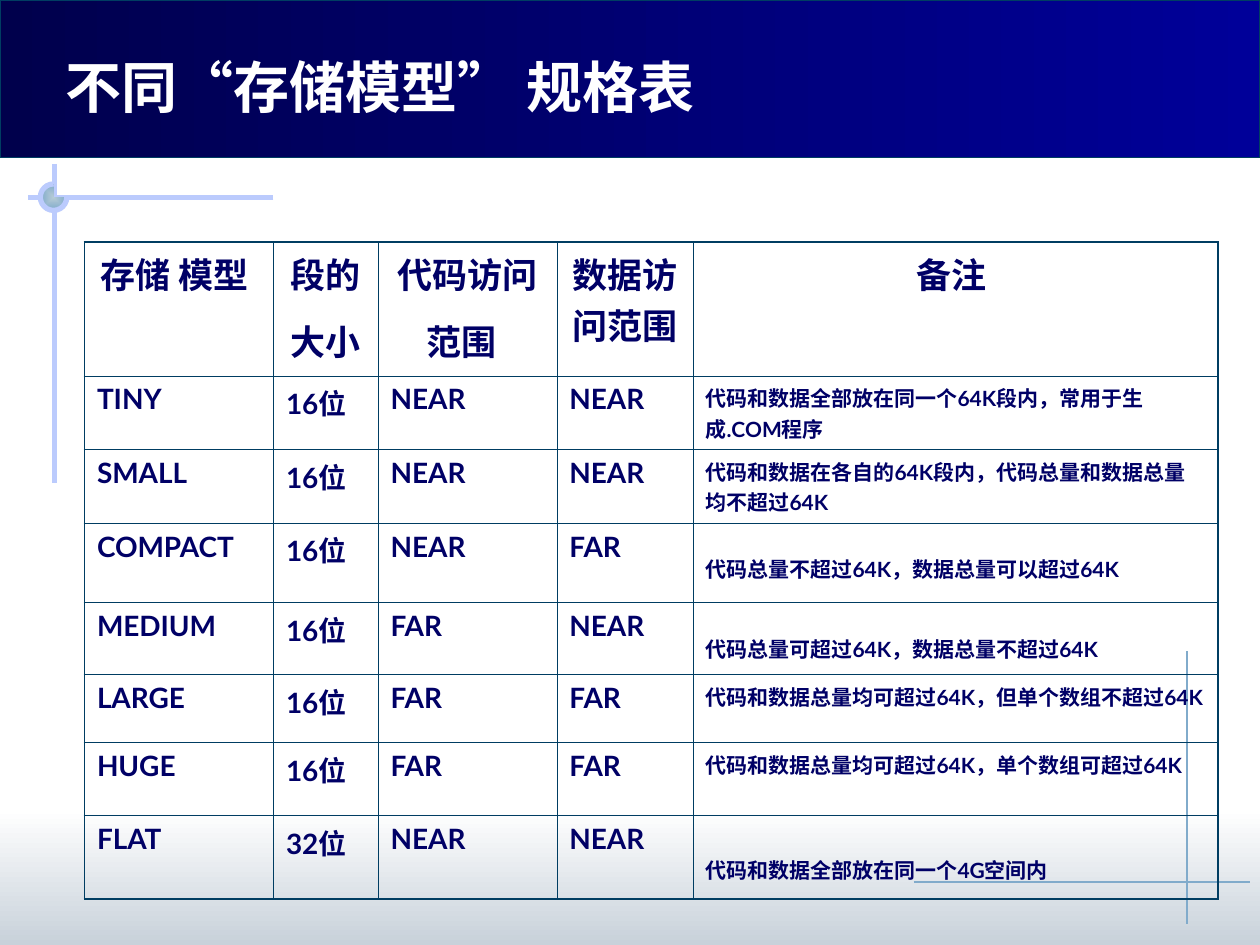
from dataclasses import dataclass
from typing import NamedTuple

from lxml import etree
from pptx import Presentation
from pptx import util as u
from pptx.dml.color import RGBColor
from pptx.enum import shapes, text
from pptx.oxml import parse_xml
from pptx.oxml.ns import qn

DRAWING = 'xmlns:a="http://schemas.openxmlformats.org/drawingml/2006/main"'


@dataclass(frozen=True)
class Theme:
    latin: str = "Lato"
    asian: str = "Noto Sans CJK JP"
    white: str = "FFFFFF"
    ink: str = "000066"
    border: str = "003D62"
    banner: tuple[str, str] = ("000099", "00004C")
    footer: tuple[str, str] = ("FFFFFF", "C8D1DA")
    node: tuple[str, str] = ("B6CBD6", "81ABCB")
    thick_line: str = "BBCBFD"
    thin_line: str = "81ABCB"
    title_size: float = 32
    header_size: float = 20
    label_size: float = 16
    note_size: float = 12
    thick: float = 3
    thin: float = 0.75
    outer_border: float = 1.08
    inner_border: float = 0.45


THEME = Theme()


class Box(NamedTuple):
    left: float
    top: float
    width: float
    height: float

    def lengths(self) -> list[u.Length]:
        return [u.Inches(value) for value in self]


class Line(NamedTuple):
    x1: float
    y1: float
    x2: float
    y2: float
    color: str
    width: float


class Entry(NamedTuple):
    """Cell text; tail_size is the size of a trailing space that opens up the line."""
    words: str
    tail_size: float = 0


class Model(NamedTuple):
    name: str
    segment: str
    code: str
    data: str
    note: Entry


LINES = [
    Line(9.42, 5.17, 9.42, 7.33, THEME.thin_line, THEME.thin),
    Line(2.17, 1.57, 0.22, 1.57, THEME.thick_line, THEME.thick),
    Line(0.43, 1.3, 0.43, 3.83, THEME.thick_line, THEME.thick),
    Line(7.25, 7, 9.92, 7, THEME.thin_line, THEME.thin),
]
HEADERS = [Entry("存储 模型 "), Entry("段的大小", 28), Entry("代码访问范围", 28),
           Entry("数据访问范围"), Entry("备注 ")]
MODELS = [
    Model("TINY", "16位", "NEAR", "NEAR",
          Entry("代码和数据全部放在同一个64K段内，常用于生成.COM程序", 9)),
    Model("SMALL", "16位", "NEAR", "NEAR",
          Entry("代码和数据在各自的64K段内，代码总量和数据总量均不超过64K")),
    Model("COMPACT", "16位", "NEAR", "FAR",
          Entry("代码总量不超过64K，数据总量可以超过64K", 28)),
    Model("MEDIUM", "16位", "FAR", "NEAR",
          Entry("代码总量可超过64K，数据总量不超过64K", 28)),
    Model("LARGE", "16位", "FAR", "FAR",
          Entry("代码和数据总量均可超过64K，但单个数组不超过64K")),
    Model("HUGE", "16位", "FAR", "FAR",
          Entry("代码和数据总量均可超过64K，单个数组可超过64K")),
    Model("FLAT", "32位", "NEAR", "NEAR",
          Entry("代码和数据全部放在同一个4G空间内", 28)),
]
COLUMN_WIDTHS = [1.5, 0.83, 1.42, 1.08, 4.17]
ROW_HEIGHTS = [0.9, 0.51, 0.5, 0.63, 0.57, 0.5, 0.58, 0.57]


def add_span(para, words: str, size: float, color: str, latin: str) -> None:
    span = para.add_run()
    span.text = words
    span.font.size = u.Pt(size)
    span.font.bold = True
    span.font.name = latin
    span.font.color.rgb = RGBColor.from_string(color)
    asian = etree.SubElement(span.font._element, qn("a:ea"))
    asian.set("typeface", THEME.asian)


def add_plain_shape(page, kind, box: Box):
    shape = page.shapes.add_shape(kind, *box.lengths())
    shape.shadow.inherit = False
    shape.line.fill.background()
    return shape


def fill_gradient(shape, colors: tuple[str, str], angle: float) -> None:
    shape.fill.gradient()
    shape.fill.gradient_angle = angle
    for stop, color in zip(shape.fill.gradient_stops, colors):
        stop.color.rgb = RGBColor.from_string(color)


def set_line(line, color: str, width: float) -> None:
    line.color.rgb = RGBColor.from_string(color)
    line.width = u.Pt(width)


def add_line(page, line: Line) -> None:
    ends = [u.Inches(value) for value in line[:4]]
    connector = page.shapes.add_connector(shapes.MSO_CONNECTOR.STRAIGHT, *ends)
    set_line(connector.line, line.color, line.width)
    etree.SubElement(connector._element.spPr, qn("a:effectLst"))


def add_node(page, box: Box) -> None:
    """Three-quarter disc with an open ring where the two thick lines cross."""
    disc = add_plain_shape(page, shapes.MSO_SHAPE.PIE, box)
    fill_gradient(disc, THEME.node, 0)
    linear = disc._element.spPr.find(".//" + qn("a:lin"))
    linear.getparent().replace(linear, parse_xml(
        f'<a:path {DRAWING} path="rect">'
        '<a:fillToRect l="50000" t="50000" r="50000" b="50000"/></a:path>'))
    ring = add_plain_shape(page, shapes.MSO_SHAPE.ARC, box)
    ring.adjustments[0], ring.adjustments[1] = 0, 162
    ring.fill.background()
    set_line(ring.line, THEME.thick_line, THEME.thick)


def set_borders(cell, outer_sides: set[str]) -> None:
    properties = cell._tc.get_or_add_tcPr()
    for index, side in enumerate("LRTB"):
        width = THEME.outer_border if side in outer_sides else THEME.inner_border
        properties.insert(index, parse_xml(
            f'<a:ln{side} {DRAWING} w="{u.Pt(width)}"><a:solidFill>'
            f'<a:srgbClr val="{THEME.border}"/></a:solidFill></a:ln{side}>'))


def write_cell(cell, entry: Entry, size: float, centered: bool) -> None:
    """Write the entry with a quarter of its last type size as space above."""
    para = cell.text_frame.paragraphs[0]
    para.space_before = u.Pt((entry.tail_size or size) / 4)
    if centered:
        para.alignment = text.PP_ALIGN.CENTER
    add_span(para, entry.words, size, THEME.ink, THEME.latin)
    if entry.tail_size:
        add_span(para, " ", entry.tail_size, THEME.ink, THEME.latin)


def add_model_table(page) -> None:
    rows = [HEADERS] + [[*map(Entry, model[:4]), model.note] for model in MODELS]
    box = Box(0.67, 1.92, sum(COLUMN_WIDTHS), sum(ROW_HEIGHTS))
    table = page.shapes.add_table(len(rows), len(HEADERS), *box.lengths()).table
    table.first_row = table.horz_banding = False
    for column, width in zip(table.columns, COLUMN_WIDTHS):
        column.width = u.Inches(width)
    for row, height in zip(table.rows, ROW_HEIGHTS):
        row.height = u.Inches(height)
    last_row, last_column = len(rows) - 1, len(HEADERS) - 1
    for r, entries in enumerate(rows):
        for c, entry in enumerate(entries):
            cell = table.cell(r, c)
            body_size = THEME.note_size if c == last_column else THEME.label_size
            write_cell(cell, entry, body_size if r else THEME.header_size, r == 0)
            cell.fill.background()
            edges = {"L": c == 0, "R": c == last_column, "T": r == 0, "B": r == last_row}
            set_borders(cell, {side for side, is_outer in edges.items() if is_outer})


def place_title(page, words: str) -> None:
    title = page.shapes.title
    title.left, title.top, title.width, title.height = Box(0.42, 0.08, 8.5, 0.92).lengths()
    frame = title.text_frame
    frame.vertical_anchor = text.MSO_ANCHOR.BOTTOM
    frame.auto_size = text.MSO_AUTO_SIZE.NONE
    frame.paragraphs[0].alignment = text.PP_ALIGN.LEFT
    add_span(frame.paragraphs[0], words, THEME.title_size, THEME.white, THEME.asian)
    page.shapes._spTree.append(title._element)  # bring in front of the banner


def main() -> None:
    deck = Presentation()
    deck.slide_width, deck.slide_height = u.Inches(10), u.Inches(7.5)
    page = deck.slides.add_slide(deck.slide_layouts[5])
    footer = add_plain_shape(page, shapes.MSO_SHAPE.RECTANGLE, Box(0, 6.42, 10, 1.08))
    fill_gradient(footer, THEME.footer, 270)
    for line in LINES:
        add_line(page, line)
    add_node(page, Box(0.32, 1.46, 0.21, 0.21))
    banner = add_plain_shape(page, shapes.MSO_SHAPE.RECTANGLE, Box(0, 0, 10, 1.25))
    fill_gradient(banner, THEME.banner, 180)
    set_line(banner.line, THEME.border, THEME.thin)
    place_title(page, "不同“存储模型” 规格表")
    add_model_table(page)
    deck.save("out.pptx")


if __name__ == "__main__":
    main()
